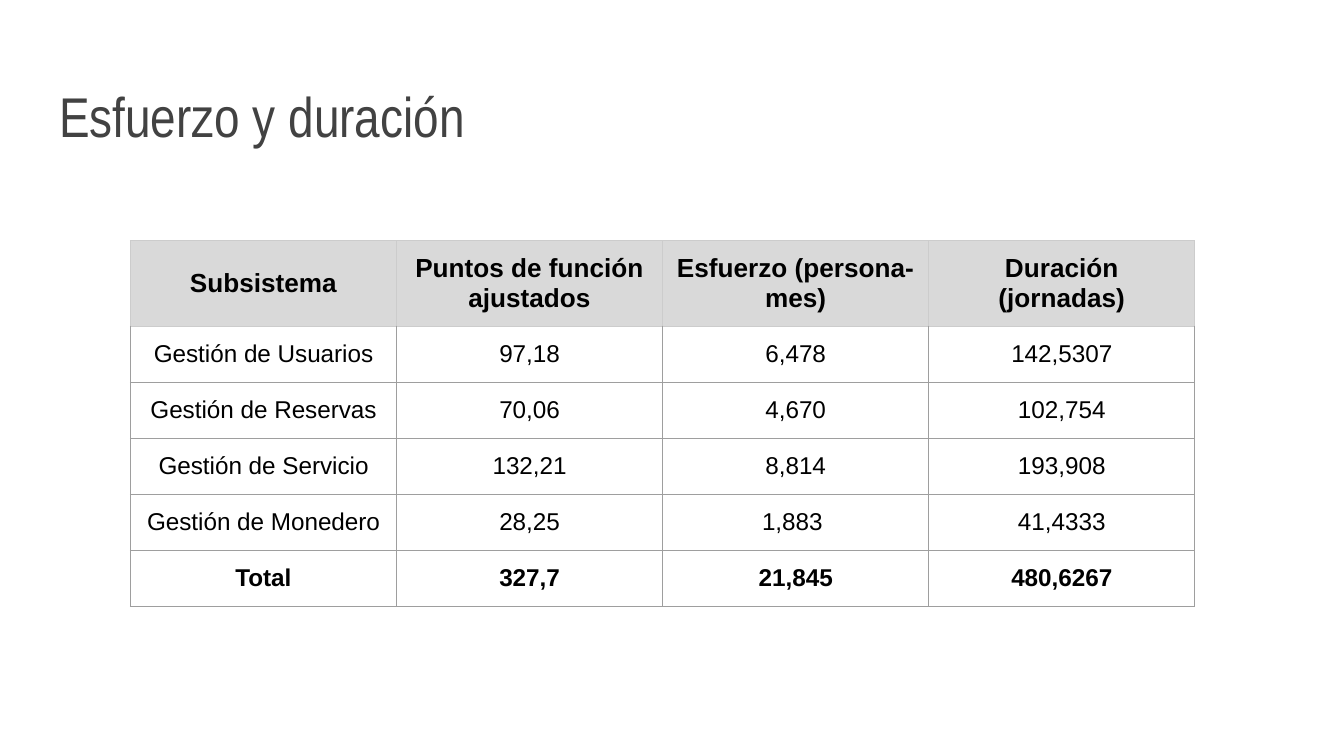
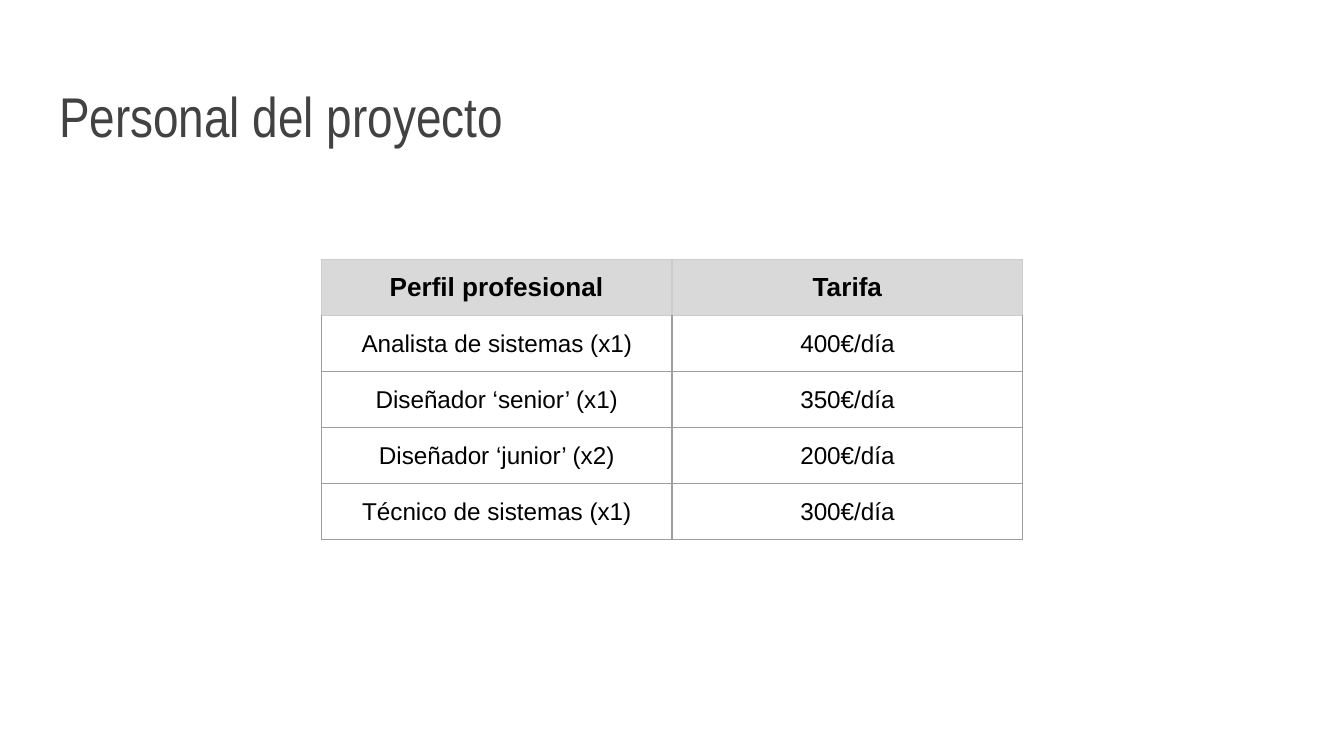
"""Build two slides of project estimates: effort and duration, and staff rates."""
import pptx
import pptx.dml.color
import pptx.enum.text
import pptx.oxml
import pptx.oxml.ns
import pptx.util

Inches, Pt = pptx.util.Inches, pptx.util.Pt
RGBColor = pptx.dml.color.RGBColor
PP_ALIGN, MSO_ANCHOR = pptx.enum.text.PP_ALIGN, pptx.enum.text.MSO_ANCHOR

TITLE_GRAY = RGBColor(0x42, 0x42, 0x42)
BLACK = RGBColor(0x00, 0x00, 0x00)
HEADER_FILL = RGBColor(0xD9, 0xD9, 0xD9)
HEADER_LINE = RGBColor(0xCC, 0xCC, 0xCC)
BODY_LINE = RGBColor(0x9E, 0x9E, 0x9E)
TITLE_FONT, TABLE_FONT = "Arial Narrow", "Arial"
SLIDE_WIDTH = Inches(10)
SLIDE_HEIGHT = SLIDE_WIDTH * 9 // 16
MARGIN, ROW_HEIGHT, LINE_WIDTH = Inches(0.1), Inches(5) // 12, Pt(0.75)

SLIDES = [
    {
        "title": "Esfuerzo y duración",
        "left": 0.97, "top": 1.79, "col_width": 1.98, "has_total": True,
        "rows": [
            ("Subsistema", "Puntos de función ajustados",
             "Esfuerzo (persona-mes)", "Duración (jornadas)"),
            ("Gestión de Usuarios", "97,18", "6,478", "142,5307"),
            ("Gestión de Reservas", "70,06", "4,670", "102,754"),
            ("Gestión de Servicio", "132,21", "8,814", "193,908"),
            ("Gestión de Monedero", "28,25", "1,883 ", "41,4333"),
            ("Total", "327,7", "21,845", "480,6267"),
        ],
    },
    {
        "title": "Personal del proyecto",
        "left": 2.39, "top": 1.93, "col_width": 2.61, "has_total": False,
        "rows": [
            ("Perfil profesional", "Tarifa"),
            ("Analista de sistemas (x1)", "400€/día"),
            ("Diseñador ‘senior’ (x1)", "350€/día"),
            ("Diseñador ‘junior’ (x2)", "200€/día"),
            ("Técnico de sistemas (x1)", "300€/día"),
        ],
    },
]


def set_margins(target):
    target.margin_left = target.margin_right = MARGIN
    target.margin_top = target.margin_bottom = MARGIN


def style_text(tf, align, font, size, color, bold=False):
    p = tf.paragraphs[0]
    p.alignment = align
    for r in p.runs:
        r.font.name, r.font.size, r.font.bold = font, Pt(size), bold
        r.font.color.rgb = color


def set_borders(cell, color, top_color):
    tc_pr = cell._tc.get_or_add_tcPr()
    for side in "LRTB":
        tc_pr.append(pptx.oxml.parse_xml(
            f'<a:ln{side} {pptx.oxml.ns.nsdecls("a")} w="{LINE_WIDTH}">'
            f'<a:solidFill><a:srgbClr val="{top_color if side == "T" else color}"/>'
            f'</a:solidFill></a:ln{side}>'))


def add_title(s, text):
    title = s.shapes.title
    title.left, title.top = Inches(0.34), Inches(0.41)
    title.width, title.height = Inches(9.32), Inches(0.8)
    tf = title.text_frame
    tf.text = text
    tf.auto_size = pptx.enum.text.MSO_AUTO_SIZE.NONE
    tf.vertical_anchor = MSO_ANCHOR.BOTTOM
    set_margins(tf)
    style_text(tf, PP_ALIGN.LEFT, TITLE_FONT, 30, TITLE_GRAY)


def fill_cell(cell, text, row, bold):
    header = row == 0
    cell.text_frame.text = text
    cell.vertical_anchor = MSO_ANCHOR.MIDDLE
    set_margins(cell)
    style_text(cell.text_frame, PP_ALIGN.CENTER, TABLE_FONT,
               14 if header else 13, BLACK, bold)
    set_borders(cell, HEADER_LINE if header else BODY_LINE,
                HEADER_LINE if row < 2 else BODY_LINE)
    if header:
        cell.fill.solid()
        cell.fill.fore_color.rgb = HEADER_FILL
    else:
        cell.fill.background()


def add_grid(s, content):
    rows = content["rows"]
    n_rows, n_cols = len(rows), len(rows[0])
    col_width = Inches(content["col_width"])
    table = s.shapes.add_table(
        n_rows, n_cols, Inches(content["left"]), Inches(content["top"]),
        col_width * n_cols, ROW_HEIGHT * n_rows).table
    table.first_row = table.horz_banding = False
    for column in table.columns:
        column.width = col_width
    for i, values in enumerate(rows):
        table.rows[i].height = ROW_HEIGHT
        bold = i == 0 or (content["has_total"] and i == n_rows - 1)
        for j, text in enumerate(values):
            fill_cell(table.cell(i, j), text, i, bold)


def main():
    prs = pptx.Presentation()
    prs.slide_width, prs.slide_height = SLIDE_WIDTH, SLIDE_HEIGHT
    for content in SLIDES:
        s = prs.slides.add_slide(prs.slide_layouts.get_by_name("Title Only"))
        add_title(s, content["title"])
        add_grid(s, content)
    prs.save("out.pptx")


if __name__ == "__main__":
    main()
